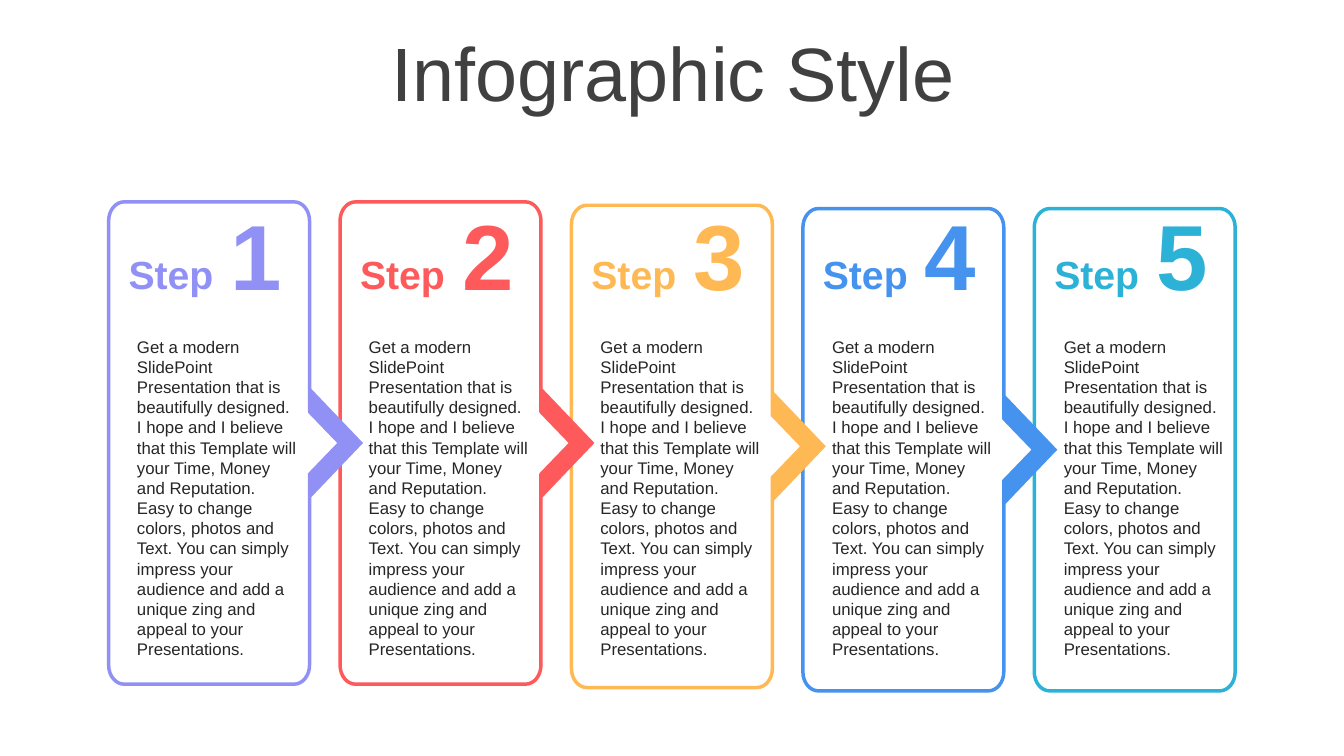
from dataclasses import dataclass
from typing import Optional

from lxml.etree import SubElement
from pptx import Presentation
from pptx.dml.color import RGBColor
from pptx.enum.shapes import MSO_SHAPE
from pptx.enum.text import MSO_ANCHOR, MSO_AUTO_SIZE, PP_ALIGN
from pptx.oxml.ns import qn
from pptx.slide import Slide
from pptx.util import Pt


@dataclass(frozen=True)
class Theme:
    font: str = "Arial"
    title_color: str = "404040"
    body_color: str = "262626"
    card_fill: str = "FFFFFF"
    title_size: float = 54
    digit_size: float = 66
    label_size: float = 28
    body_size: float = 12
    outline: float = 2.5


@dataclass(frozen=True)
class Step:
    number: int
    color: str
    top: float
    has_arrow: bool = True

    @property
    def left(self) -> float:
        return FIRST_LEFT + (self.number - 1) * CARD_PITCH


@dataclass(frozen=True)
class Box:
    left: float
    top: float
    width: float
    height: float


@dataclass(frozen=True)
class Vertex:
    """Outline point relative to the card; a corner makes the segment to it a curve."""
    x: float
    y: float
    corner: Optional[tuple[float, float]] = None


THEME = Theme()

# Card geometry in points
FIRST_LEFT, CARD_PITCH = 77.6, 165.3
CARD_WIDTH, CARD_HEIGHT = 143.5, 344.5
CORNER_WIDTH, CORNER_HEIGHT, CURVE = 11, 13.5, 0.55
NOTCH_DEPTH, NOTCH_HALF = 21.5, 22.3
ARROW_BASE, ARROW_DEPTH = 80, 38.2
BODY_LEFT, BODY_PITCH = 90.8, 165.5

STEPS = [
    Step(1, "9191F5", 144.2),
    Step(2, "FE5A5B", 144.2),
    Step(3, "FFB954", 146.6),
    Step(4, "4592EF", 149),
    Step(5, "2CB2D7", 149, has_arrow=False),
]
BODY_TEXT = (
    "Get a modern SlidePoint Presentation that is beautifully designed. "
    "I hope and I believe that this Template will your Time, Money and Reputation. "
    "Easy to change colors, photos and Text. You can simply impress your audience "
    "and add a unique zing and appeal to your Presentations."
)


def card_outline(has_arrow: bool) -> list[Vertex]:
    """Rounded card, clockwise from the top left, with a tip when it has an arrow."""
    right, bottom, middle = CARD_WIDTH, CARD_HEIGHT, CARD_HEIGHT / 2
    tip = [
        Vertex(right, middle - NOTCH_HALF),
        Vertex(right + NOTCH_DEPTH, middle),
        Vertex(right, middle + NOTCH_HALF),
    ]
    return [
        Vertex(CORNER_WIDTH, 0),
        Vertex(right - CORNER_WIDTH, 0),
        Vertex(right, CORNER_HEIGHT, (right, 0)),
        *(tip if has_arrow else []),
        Vertex(right, bottom - CORNER_HEIGHT),
        Vertex(right - CORNER_WIDTH, bottom, (right, bottom)),
        Vertex(CORNER_WIDTH, bottom),
        Vertex(0, bottom - CORNER_HEIGHT, (0, bottom)),
        Vertex(0, CORNER_HEIGHT),
        Vertex(CORNER_WIDTH, 0, (0, 0)),
    ]


def round_corners(card, outline: list[Vertex]) -> None:
    """Turn the straight segments across the corners into Bézier curves."""
    segments = list(card.element.iter(qn("a:lnTo")))
    for segment, start, end in zip(segments, outline, outline[1:]):
        if end.corner is None:
            continue
        corner_x, corner_y = end.corner
        segment.tag = qn("a:cubicBezTo")
        for point in list(segment):
            segment.remove(point)
        controls = [(vertex.x + CURVE * (corner_x - vertex.x),
                     vertex.y + CURVE * (corner_y - vertex.y))
                    for vertex in (start, end)]
        for x, y in [*controls, (end.x, end.y)]:
            SubElement(segment, qn("a:pt"), x=str(int(Pt(x))), y=str(int(Pt(y))))


def add_arrow(slide: Slide, step: Step) -> None:
    center_x = step.left + CARD_WIDTH + ARROW_DEPTH / 2
    center_y = step.top + CARD_HEIGHT / 2
    arrow = slide.shapes.add_shape(
        MSO_SHAPE.ISOSCELES_TRIANGLE,
        Pt(center_x - ARROW_BASE / 2), Pt(center_y - ARROW_DEPTH / 2),
        Pt(ARROW_BASE), Pt(ARROW_DEPTH))
    arrow.rotation = 90
    arrow.shadow.inherit = False
    arrow.fill.solid()
    arrow.fill.fore_color.rgb = RGBColor.from_string(step.color)
    arrow.line.fill.background()


def add_card(slide: Slide, step: Step) -> None:
    outline = card_outline(step.has_arrow)
    start, *others = [(Pt(vertex.x), Pt(vertex.y)) for vertex in outline]
    builder = slide.shapes.build_freeform(*start)
    builder.add_line_segments(others, close=True)
    card = builder.convert_to_shape(Pt(step.left), Pt(step.top))
    round_corners(card, outline)
    card.shadow.inherit = False
    card.fill.solid()
    card.fill.fore_color.rgb = RGBColor.from_string(THEME.card_fill)
    card.line.color.rgb = RGBColor.from_string(step.color)
    card.line.width = Pt(THEME.outline)


def write(shape, text: str, size: float, color: str, bold: bool = False,
          align: PP_ALIGN = PP_ALIGN.CENTER,
          anchor: MSO_ANCHOR = MSO_ANCHOR.MIDDLE) -> None:
    frame = shape.text_frame
    frame.word_wrap = True
    frame.vertical_anchor = anchor
    frame.text = text
    paragraph = frame.paragraphs[0]
    paragraph.alignment = align
    paragraph.font.name = THEME.font
    paragraph.font.size = Pt(size)
    paragraph.font.bold = bold
    paragraph.font.color.rgb = RGBColor.from_string(color)


def add_text_box(slide: Slide, box: Box):
    shape = slide.shapes.add_textbox(
        Pt(box.left), Pt(box.top), Pt(box.width), Pt(box.height))
    shape.text_frame.auto_size = MSO_AUTO_SIZE.SHAPE_TO_FIT_TEXT
    return shape


def add_step_text(slide: Slide, step: Step) -> None:
    label = add_text_box(slide, Box(step.left + 6.4, 175, 76.3, 41))
    write(label, "Step", THEME.label_size, step.color, bold=True)
    digit = add_text_box(slide, Box(step.left + 67.4, 137.5, 76.3, 87.1))
    write(digit, str(step.number), THEME.digit_size, step.color, bold=True)
    body_left = BODY_LEFT + (step.number - 1) * BODY_PITCH
    body = add_text_box(slide, Box(body_left, 236.8, 128.3, 240))
    write(body, BODY_TEXT, THEME.body_size, THEME.body_color,
          align=PP_ALIGN.LEFT, anchor=MSO_ANCHOR.TOP)


def add_title(slide: Slide) -> None:
    title = slide.shapes.title
    title.left, title.top = Pt(25.2), Pt(26.6)
    title.width, title.height = Pt(911.5), Pt(56.9)
    write(title, "Infographic Style", THEME.title_size, THEME.title_color)
    title.text_frame.auto_size = MSO_AUTO_SIZE.NONE
    title.text_frame.paragraphs[0].line_spacing = 0.9


def main() -> None:
    presentation = Presentation()
    presentation.slide_width, presentation.slide_height = Pt(960), Pt(540)
    slide = presentation.slides.add_slide(presentation.slide_layouts[5])
    add_title(slide)

    # Cards from last to first, so each arrow overlaps the next card
    for step in reversed(STEPS):
        if step.has_arrow:
            add_arrow(slide, step)
        add_card(slide, step)

    # Text above all cards
    for step in STEPS:
        add_step_text(slide, step)

    presentation.save("out.pptx")


if __name__ == "__main__":
    main()
